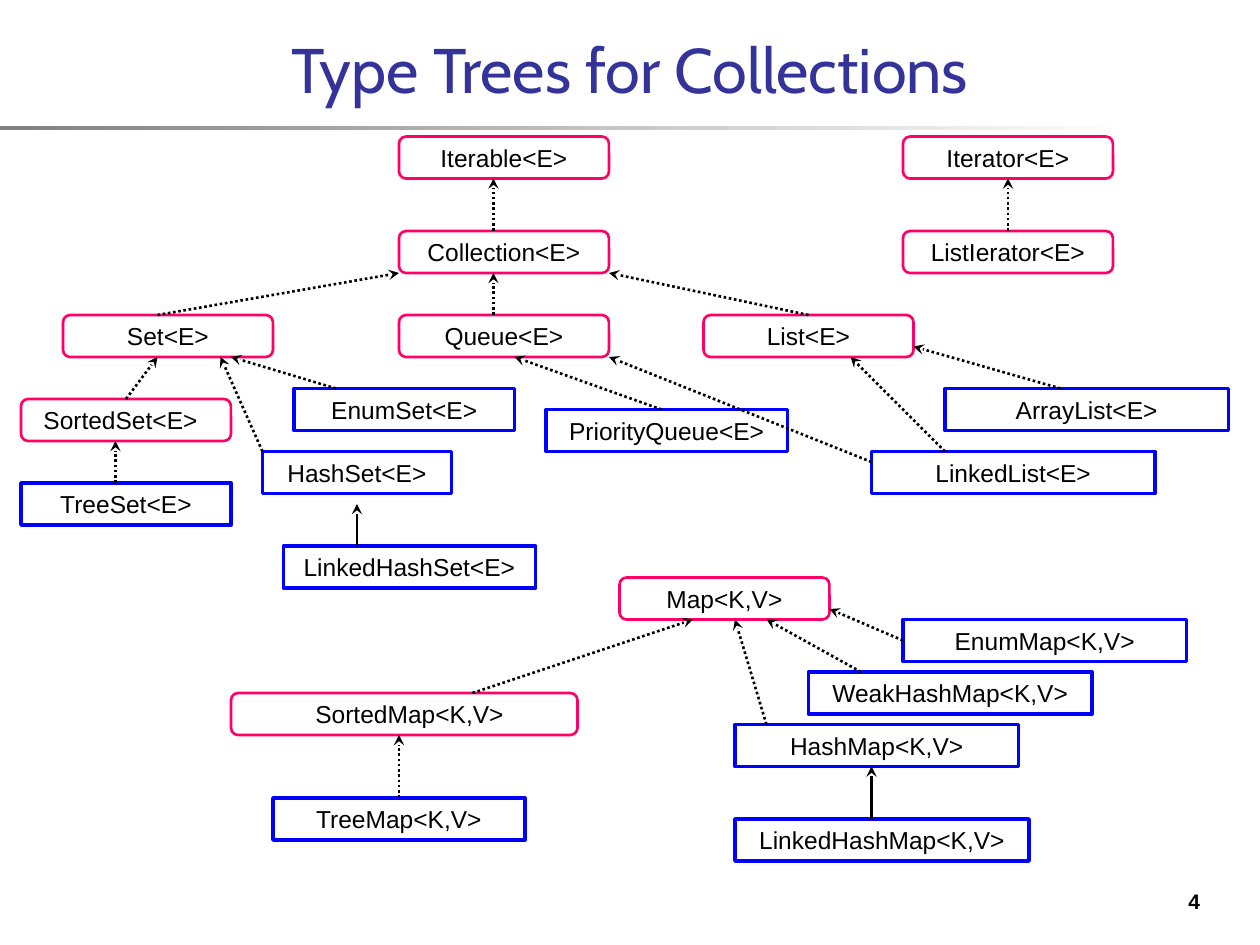
from lxml.etree import SubElement
from pptx import Presentation
from pptx.dml.color import RGBColor
from pptx.enum.dml import MSO_LINE
from pptx.enum.shapes import MSO_CONNECTOR, MSO_SHAPE as Shape
from pptx.enum.text import MSO_ANCHOR as Anchor, PP_ALIGN as Align
from pptx.oxml.ns import qn
from pptx.util import Inches, Pt

COLORS = {"title": "333399", "text": "000000", "interface": "FF0066",
          "class": "0000FF", "rule_start": "808080", "rule_end": "FFFFFF"}

deck = Presentation()
deck.slide_width, deck.slide_height = Inches(10), Inches(7.5)
page = deck.slides.add_slide(deck.slide_layouts[6])
UNIT = deck.slide_width / 120  # the grid has 120 columns and 90 rows


def grid(*cells):
    return [round(cell * UNIT) for cell in cells]


def write(box, text, size, color, font="Arial", bold=False, align=Align.CENTER):
    frame = box.text_frame
    frame.word_wrap = True
    frame.vertical_anchor = Anchor.MIDDLE
    para = frame.paragraphs[0]
    para.alignment = align
    span = para.add_run()
    span.text = text
    span.font.size, span.font.name, span.font.bold = Pt(size), font, bold
    span.font.color.rgb = RGBColor.from_string(COLORS[color])


# Rule under the title
rule = page.shapes.add_shape(Shape.RECTANGLE, *grid(0, 12, 108, 0.4))
rule.shadow.inherit = False
rule.line.fill.background()
rule.fill.gradient()
rule.fill.gradient_angle = 0
for stop, name in zip(rule.fill.gradient_stops, ("rule_start", "rule_end")):
    stop.color.rgb = RGBColor.from_string(COLORS[name])

# Title and page number
title = page.shapes.add_textbox(*grid(6, 2, 108, 9))
write(title, "Type Trees for Collections", 36, "title", font="Cabin")
number = page.shapes.add_textbox(*grid(112, 84, 6, 3.6))
write(number, "4", 12, "text", bold=True, align=Align.LEFT)

# Types: name, column, row, width in columns
BOX_ROWS = 4
TYPES = {
    "interface": [
        ("Iterable<E>", 38, 13, 20), ("Collection<E>", 38, 22, 20),
        ("Set<E>", 6, 30, 20), ("Queue<E>", 38, 30, 20), ("List<E>", 67, 30, 20),
        ("SortedSet<E>", 2, 38, 20),
        ("Iterator<E>", 86, 13, 20), ("ListIerator<E>", 86, 22, 20),
        ("Map<K,V>", 59, 55, 20), ("SortedMap<K,V>", 22, 66, 33)],
    "class": [
        ("ArrayList<E>", 90, 37, 27), ("PriorityQueue<E>", 52, 39, 23),
        ("HashSet<E>", 25, 43, 18), ("EnumSet<E>", 28, 37, 21),
        ("LinkedHashSet<E>", 27, 52, 24), ("TreeSet<E>", 2, 46, 20),
        ("LinkedList<E>", 83, 43, 27),
        ("EnumMap<K,V>", 86, 59, 27), ("WeakHashMap<K,V>", 77, 64, 27),
        ("TreeMap<K,V>", 26, 76, 24), ("HashMap<K,V>", 70, 69, 27),
        ("LinkedHashMap<K,V>", 70, 78, 28)],
}
STYLES = {"interface": (Shape.FLOWCHART_ALTERNATE_PROCESS, 1.5),
          "class": (Shape.RECTANGLE, 2)}
boxes, side_middles = {}, {}
for kind, types in TYPES.items():
    outline, weight = STYLES[kind]
    for name, col, row, width in types:
        box = page.shapes.add_shape(outline, *grid(col, row, width, BOX_ROWS))
        box.shadow.inherit = False
        box.fill.background()
        box.line.color.rgb = RGBColor.from_string(COLORS[kind])
        box.line.width = Pt(weight)
        write(box, name, 14, "text")
        boxes[name] = box
        middle, center = row + BOX_ROWS / 2, col + width / 2
        sides = [(center, row), (col, middle), (center, row + BOX_ROWS),
                 (col + width, middle)]
        for site, point in enumerate(sides):
            side_middles[point] = (box, site)

# Two labels sit slightly off centre
boxes["SortedSet<E>"].text_frame.margin_right += round(UNIT)
boxes["SortedMap<K,V>"].text_frame.margin_left += round(UNIT)

# Arrows from subtype to supertype: start column, row, end column, row
ARROWS = {
    "implements": [
        (47, 22, 47, 17), (15, 30, 38, 26), (47, 30, 47, 26), (77, 30, 58, 26),
        (96, 22, 96, 17), (12, 38, 15, 34), (32, 37, 22, 34), (25, 43, 21, 34),
        (11, 46, 11, 42), (63, 39, 49, 34), (90, 43, 81, 34), (83, 44, 58, 34),
        (101, 37, 87, 33), (82, 64, 73, 59), (86, 61, 79, 58), (45, 66, 66, 59),
        (38, 76, 38, 70), (73, 69, 70, 59)],
    "extends": [(34, 52, 34, 48), (83, 78, 83, 73)],
}
for relation, arrows in ARROWS.items():
    for ends in arrows:
        arrow = page.shapes.add_connector(MSO_CONNECTOR.STRAIGHT, *grid(*ends))
        arrow.line.color.rgb = RGBColor.from_string(COLORS["text"])
        arrow.line.width = Pt(1.5)
        if relation == "implements":
            arrow.line.dash_style = MSO_LINE.ROUND_DOT
        SubElement(arrow.line._get_or_add_ln(), qn("a:tailEnd"), type="stealth")
        SubElement(arrow._element.spPr, qn("a:effectLst"))
        if ends[:2] in side_middles:
            arrow.begin_connect(*side_middles[ends[:2]])
        if ends[2:] in side_middles:
            arrow.end_connect(*side_middles[ends[2:]])

deck.save("out.pptx")
